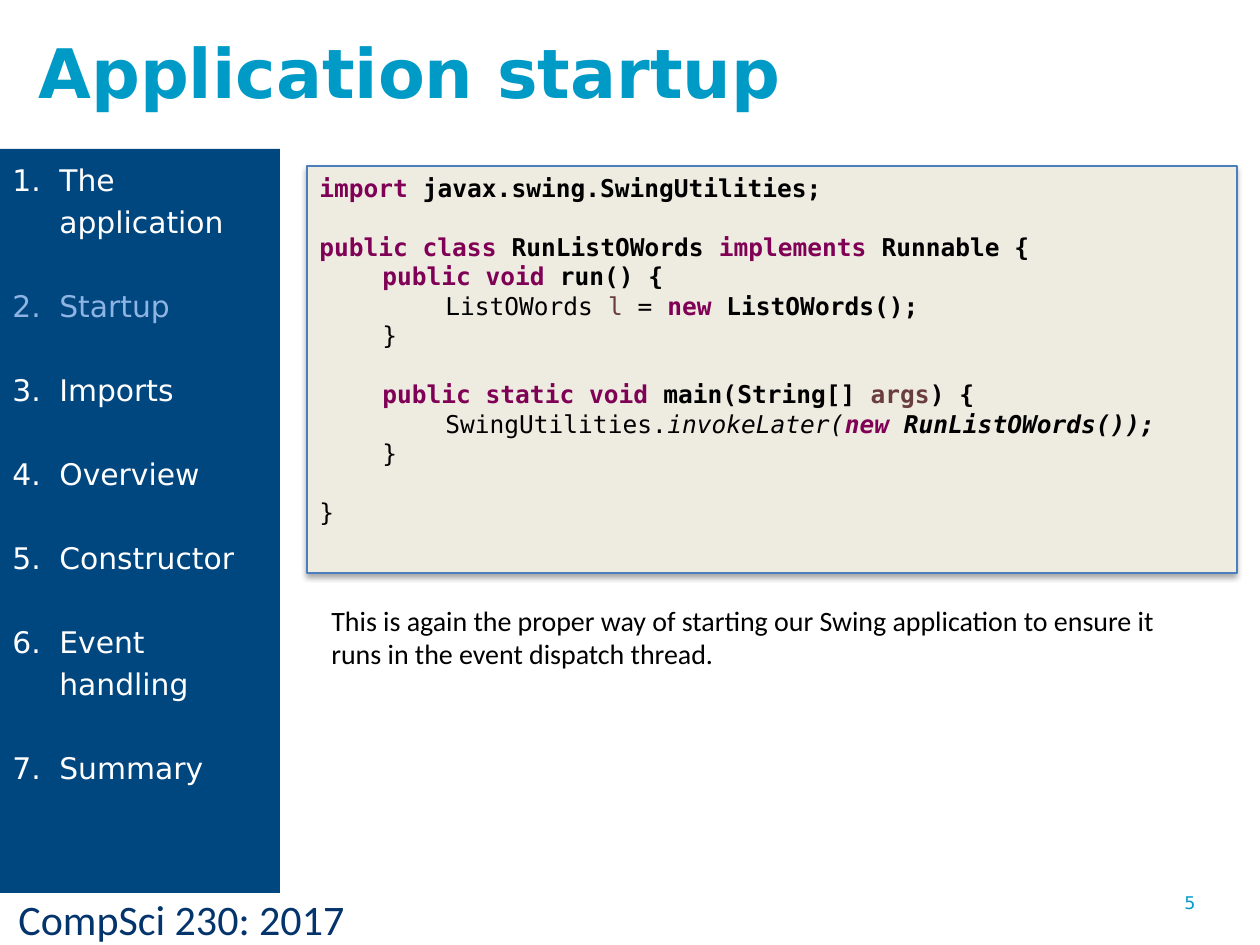
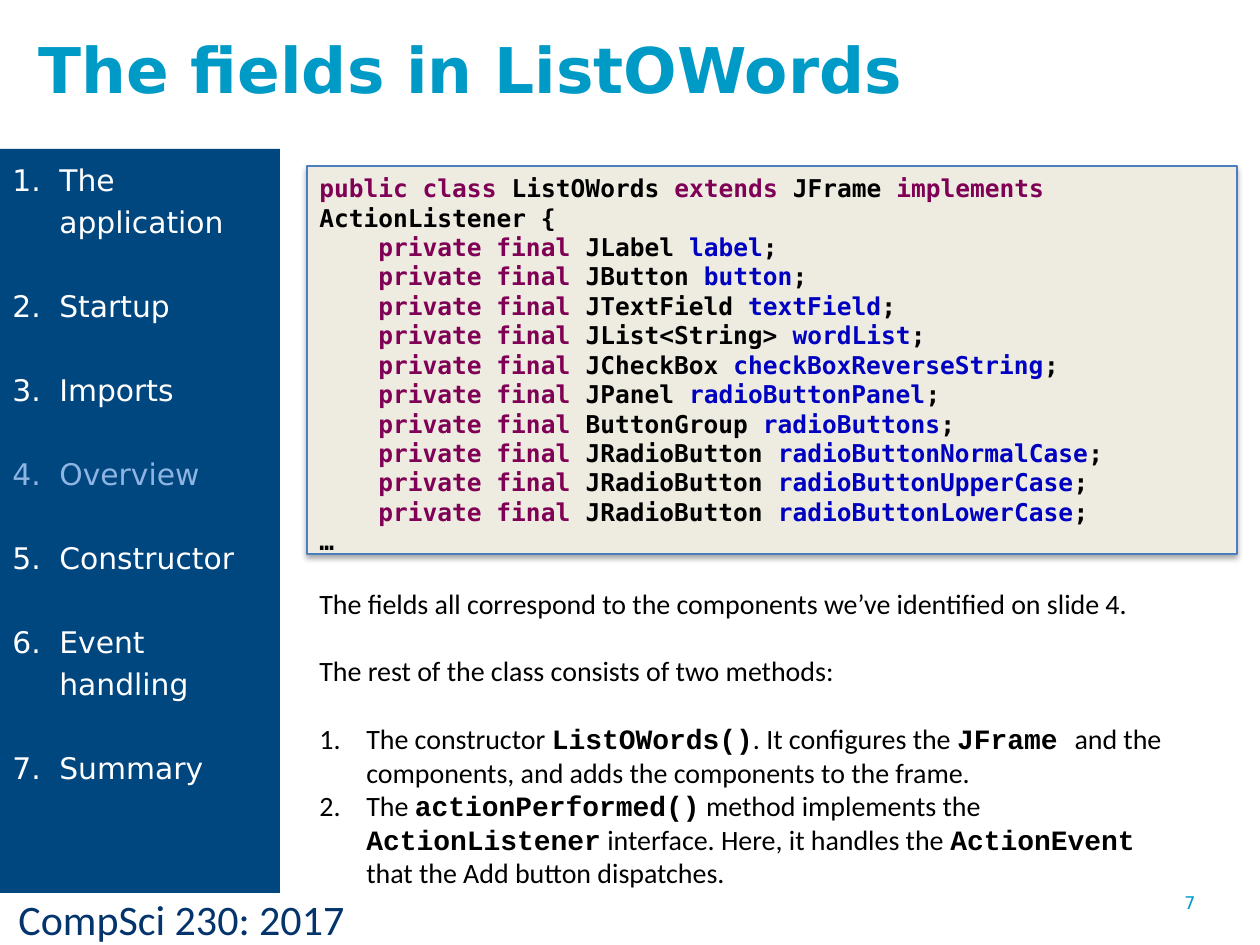
from dataclasses import dataclass

from lxml.etree import SubElement
from pptx import Presentation
from pptx.dml.color import RGBColor as Rgb
from pptx.enum.shapes import MSO_SHAPE as Shape
from pptx.enum.text import MSO_ANCHOR as Anchor, MSO_AUTO_SIZE as AutoSize, PP_ALIGN as Align
from pptx.oxml.ns import qn
from pptx.util import Emu, Pt

EMU_PER_INCH, PX_PER_INCH = 914400, 126


@dataclass(frozen=True)
class Theme:
    """Colours, fonts and type sizes shared by the slides."""
    accent: str = "009AC7"
    navy: str = "00467F"
    footer: str = "04346C"
    white: str = "FFFFFF"
    current: str = "8EB4E3"
    paper: str = "EEECE1"
    edge: str = "4B7EBC"
    black: str = "000000"
    keyword: str = "7F0055"
    variable: str = "6A3E3E"
    member: str = "0000C0"
    sans: str = "DejaVu Sans"
    mono: str = "DejaVu Sans Mono"
    prose: str = "Calibri"
    inline_code: str = "Courier New"
    number_size: int = 10
    code_size: int = 14
    note_size: int = 16
    menu_size: int = 17
    footer_size: int = 24
    code_pitch: float = 16.8
    note_pitch: float = 19.5
    menu_pitch: int = 24


@dataclass(frozen=True)
class Style:
    """Look of one span of text."""
    font: str
    size: float
    colour: str
    bold: bool = False
    italic: bool = False


@dataclass(frozen=True)
class Line:
    """One paragraph: its spans, left indent, and whether a gap precedes it."""
    spans: tuple
    indent: int = 0
    gap: bool = False
    numbered: bool = False


THEME = Theme()


def code_style(colour=THEME.black, bold=True, italic=False):
    """Return a style for a span of program code."""
    return Style(THEME.mono, THEME.code_size, colour, bold, italic)


BOLD = code_style()
PLAIN = code_style(bold=False)
KEYWORD = code_style(THEME.keyword)
VARIABLE = code_style(THEME.variable)
PLAIN_VARIABLE = code_style(THEME.variable, bold=False)
MEMBER = code_style(THEME.member)
CALL = code_style(bold=False, italic=True)
ITALIC_KEYWORD = code_style(THEME.keyword, italic=True)
BOLD_ITALIC = code_style(italic=True)
PROSE = Style(THEME.prose, THEME.note_size, THEME.black)
INLINE = Style(THEME.inline_code, THEME.note_size, THEME.black, True)

TAB, FIELD_INDENT, HANGING = 63, 59, 47
TITLE_BOX = (26, 18, 898, 98)
MENU_BOX = (0, 149, 280, 744)
FOOTER_BOX = (6, 887, 510, 63)
NUMBER_BOX = (1172, 886, 88, 65)
CODE_LEFT, CODE_TOP, CODE_WIDTH = 307, 166, 930
CODE_TEXT_WIDTH = 939

TOPICS = ("The application", "Startup", "Imports", "Overview",
          "Constructor", "Event handling", "Summary")

STARTUP_CODE = (
    Line((("import ", KEYWORD), ("javax.swing.SwingUtilities;", BOLD))),
    Line((("public class ", KEYWORD), ("RunListOWords ", BOLD),
          ("implements", KEYWORD), (" Runnable {", BOLD)), gap=True),
    Line((("public void", KEYWORD), (" run() {", BOLD)), TAB),
    Line((("ListOWords ", PLAIN), ("l", PLAIN_VARIABLE), (" = ", PLAIN),
          ("new ", KEYWORD), ("ListOWords();", BOLD)), 2 * TAB),
    Line((("}", PLAIN),), TAB),
    Line((("public static void", KEYWORD), (" main(String[] ", BOLD),
          ("args", VARIABLE), (") {", BOLD)), TAB, gap=True),
    Line((("SwingUtilities.", PLAIN), ("invokeLater(", CALL),
          ("new ", ITALIC_KEYWORD), ("RunListOWords());", BOLD_ITALIC)), 2 * TAB),
    Line((("}", PLAIN),), TAB),
    Line((("}", PLAIN),), gap=True),
)

FIELDS = (
    ("JLabel", "label"), ("JButton", "button"), ("JTextField", "textField"),
    ("JList<String>", "wordList"), ("JCheckBox", "checkBoxReverseString"),
    ("JPanel", "radioButtonPanel"), ("ButtonGroup", "radioButtons"),
    ("JRadioButton", "radioButtonNormalCase"),
    ("JRadioButton", "radioButtonUpperCase"),
    ("JRadioButton", "radioButtonLowerCase"),
)

FIELDS_CODE = (
    Line((("public class ", KEYWORD), ("ListOWords ", BOLD), ("extends ", KEYWORD),
          ("JFrame ", BOLD), ("implements ", KEYWORD), ("ActionListener {", BOLD))),
    *(Line((("private final ", KEYWORD), (f"{kind} ", BOLD), (name, MEMBER), (";", BOLD)),
           FIELD_INDENT) for kind, name in FIELDS),
    Line((("…", BOLD),)),
)

STARTUP_NOTES = (
    Line((("This is again the proper way of starting our Swing application to ensure it "
           "runs in the event dispatch thread.", PROSE),)),
)

FIELDS_NOTES = (
    Line((("The fields all correspond to the components we’ve identified on slide 4.", PROSE),)),
    Line((("The rest of the class consists of two methods:", PROSE),), gap=True),
    Line((("The constructor ", PROSE), ("ListOWords()", INLINE),
          (". It configures the ", PROSE), ("JFrame ", INLINE),
          ("and the components, and adds the components to the frame.", PROSE)),
         HANGING, gap=True, numbered=True),
    Line((("The ", PROSE), ("actionPerformed()", INLINE),
          (" method implements the ", PROSE), ("ActionListener", INLINE),
          (" interface. Here, it handles the ", PROSE), ("ActionEvent", INLINE),
          (" that the Add button dispatches.", PROSE)),
         HANGING, numbered=True),
)


def px(length):
    """Convert pixels to EMU."""
    return Emu(round(length * EMU_PER_INCH / PX_PER_INCH))


def place(shape, box):
    """Move and size a shape to a pixel box."""
    shape.left, shape.top, shape.width, shape.height = map(px, box)


def format_span(span, style):
    """Apply a style to a run."""
    font = span.font
    font.name, font.size = style.font, Pt(style.size)
    font.bold, font.italic = style.bold, style.italic
    font.color.rgb = Rgb.from_string(style.colour)


def set_indent(para, line):
    """Set the left margin and, when numbered, a hanging automatic number."""
    settings = para._p.get_or_add_pPr()
    settings.set("marL", str(px(line.indent)))
    settings.set("indent", str(-px(line.indent) if line.numbered else 0))
    if line.numbered:
        SubElement(settings, qn("a:buFont"), typeface="+mj-lt")
        SubElement(settings, qn("a:buAutoNum"), type="arabicPeriod")


def write_lines(frame, lines, pitch, fixed_pitch=True):
    """Fill a text frame with styled paragraphs."""
    frame.word_wrap, frame.auto_size = True, AutoSize.NONE
    frame.vertical_anchor = Anchor.TOP
    for index, line in enumerate(lines):
        para = frame.add_paragraph() if index else frame.paragraphs[0]
        para.alignment = Align.LEFT
        if fixed_pitch:
            para.line_spacing = Pt(pitch)
        para.space_before = Pt(pitch if line.gap else 0)
        para.space_after = Pt(0)
        set_indent(para, line)
        for text, style in line.spans:
            span = para.add_run()
            span.text = text
            format_span(span, style)


def add_text(page, box, lines, pitch=0, fixed_pitch=False):
    """Add a text box holding styled paragraphs."""
    frame = page.shapes.add_textbox(*map(px, box)).text_frame
    write_lines(frame, lines, pitch, fixed_pitch)


def add_panel(page, box, fill, edge=None):
    """Add a flat rectangle, outlined when an edge colour is given."""
    panel = page.shapes.add_shape(Shape.RECTANGLE, *map(px, box))
    panel.shadow.inherit = False
    panel.fill.solid()
    panel.fill.fore_color.rgb = Rgb.from_string(fill)
    if edge:
        panel.line.color.rgb = Rgb.from_string(edge)
        panel.line.width = Pt(0.75)
    else:
        panel.line.fill.background()
    return panel


def add_soft_shadow(panel):
    """Give a panel a soft shadow falling straight down."""
    effects = panel._element.spPr.find(qn("a:effectLst"))
    shadow = SubElement(effects, qn("a:outerShdw"), blurRad=str(Pt(3.1)),
                        dist=str(Pt(1.8)), dir="5400000", rotWithShape="0")
    colour = SubElement(shadow, qn("a:srgbClr"), val=THEME.black)
    SubElement(colour, qn("a:alpha"), val="35000")


def add_title(page, text, size):
    """Place and format the title placeholder."""
    title = page.shapes.title
    place(title, TITLE_BOX)
    frame = title.text_frame
    frame.margin_top, frame.margin_right = px(12), 0
    style = Style(THEME.sans, size, THEME.accent, True)
    write_lines(frame, [Line(((text, style),))], 0, False)


def add_menu(page, current):
    """Draw the topic band with the current topic tinted."""
    lines = [
        Line(((topic, Style(THEME.sans, THEME.menu_size,
                            THEME.current if topic == current else THEME.white)),),
             HANGING, gap=index > 0, numbered=True)
        for index, topic in enumerate(TOPICS)
    ]
    band = add_panel(page, MENU_BOX, THEME.navy)
    write_lines(band.text_frame, lines, THEME.menu_pitch)


def add_code(page, lines, height):
    """Draw the shaded code panel and its listing."""
    panel = add_panel(page, (CODE_LEFT, CODE_TOP, CODE_WIDTH, height), THEME.paper, THEME.edge)
    add_soft_shadow(panel)
    add_text(page, (CODE_LEFT, CODE_TOP + 1, CODE_TEXT_WIDTH, height - 1),
             lines, THEME.code_pitch, True)


def add_footer(page, number):
    """Add the course name and the slide number."""
    course = Style(THEME.prose, THEME.footer_size, THEME.footer)
    count = Style(THEME.sans, THEME.number_size, THEME.accent)
    add_text(page, FOOTER_BOX, [Line((("CompSci 230: 2017", course),))])
    add_text(page, NUMBER_BOX, [Line(((str(number), count),))])


def add_code_slide(deck, title, title_size, topic, number, code, code_height, notes, notes_box):
    """Build one slide with a topic band, a listing and notes."""
    page = deck.slides.add_slide(deck.slide_layouts[5])
    add_footer(page, number)
    add_title(page, title, title_size)
    add_code(page, code, code_height)
    add_text(page, notes_box, notes, THEME.note_pitch)
    add_menu(page, topic)


def main():
    """Build and save the deck."""
    deck = Presentation()
    deck.slide_width, deck.slide_height = px(1260), px(945)
    add_code_slide(deck, "Application startup", 39, "Startup", 5,
                   STARTUP_CODE, 407, STARTUP_NOTES, (319, 597, 881, 81))
    add_code_slide(deck, "The fields in ListOWords", 36, "Overview", 7,
                   FIELDS_CODE, 388, FIELDS_NOTES, (307, 580, 881, 318))
    deck.save("out.pptx")


if __name__ == "__main__":
    main()
